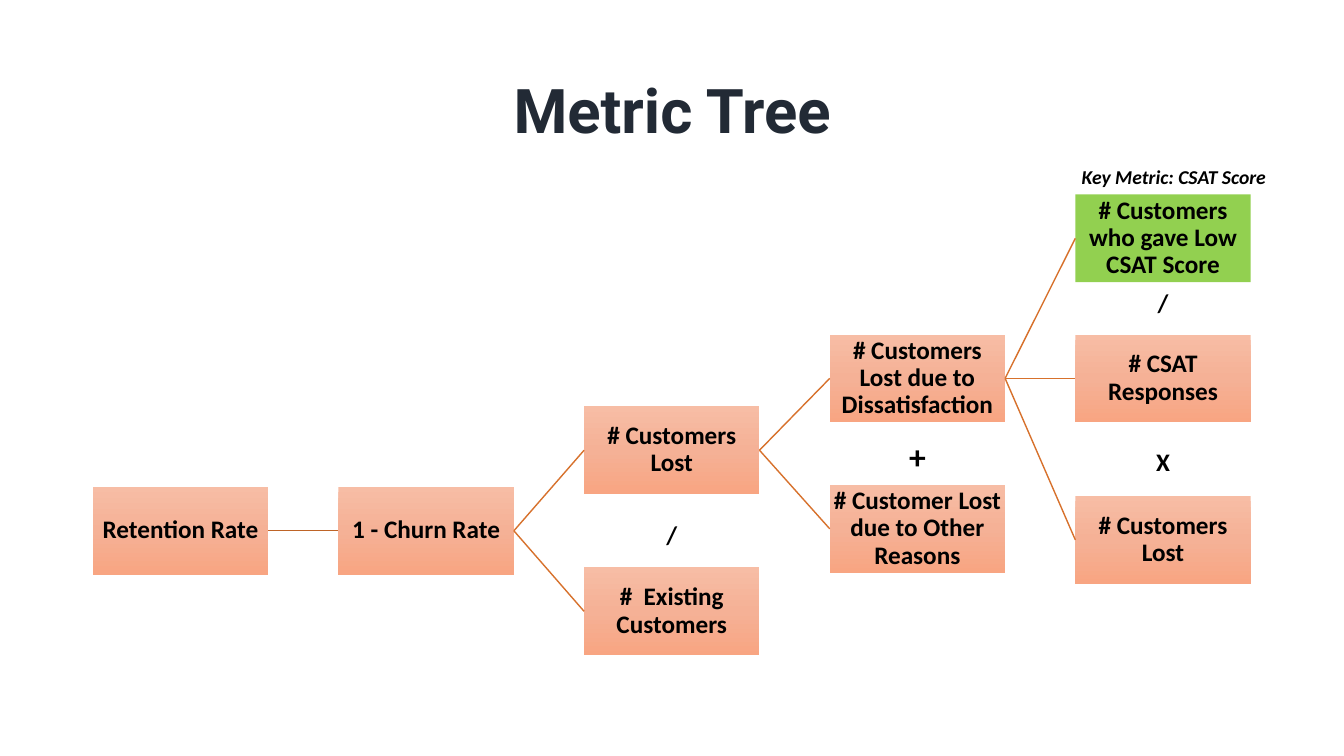
from copy import deepcopy

from pptx import Presentation, util as u
from pptx.dml.color import RGBColor
from pptx.enum import shapes, text
from pptx.oxml.ns import qn
from pptx.oxml.xmlchemy import OxmlElement

LEFT, COLUMN_STEP = 2.34, 6.19
NODE_W, NODE_H = 4.42, 2.21
RIGHT_SIDE, LEFT_SIDE = 3, 1


def rgb(hex_colour):
    return RGBColor.from_string(hex_colour)


class MetricTree:
    PEACH = ("F7BDA5", "F5B196", "F8A582")
    GREEN = "92D050"
    BRANCH = "D7712C"
    BLACK = "000000"

    def __init__(self, slide):
        self.shapes = slide.shapes

    def add_words(self, frame, words, size, font="Calibri", colour=BLACK, italic=False):
        """Put one centred bold run into a text frame."""
        paragraph = frame.paragraphs[0]
        paragraph.alignment = text.PP_ALIGN.CENTER
        run = paragraph.add_run()
        run.text = words
        run.font.size = u.Pt(size)
        run.font.name = font
        run.font.bold = True
        run.font.italic = italic
        run.font.color.rgb = rgb(colour)
        return paragraph

    def label(self, words, left, top, width, height, size, wrap=True, **style):
        box = self.shapes.add_textbox(u.Cm(left), u.Cm(top), u.Cm(width), u.Cm(height))
        frame = box.text_frame
        frame.word_wrap = wrap
        self.add_words(frame, words, size, **style)
        return frame

    def title(self, words):
        frame = self.label(words, 2.34, 1.02, 29.21, 3.68, 44, font="Roboto", colour="222A35")
        frame.vertical_anchor = text.MSO_ANCHOR.MIDDLE
        frame.paragraphs[0].line_spacing = 0.9

    def peach_gradient(self, node):
        node.fill.gradient()
        node.fill.gradient_angle = 270
        stops = node._element.spPr.find(".//" + qn("a:gsLst"))
        middle = deepcopy(stops[0])
        middle.set("pos", "50000")
        stops.insert(1, middle)
        for stop, colour in zip(node.fill.gradient_stops, self.PEACH):
            stop.color.rgb = rgb(colour)

    def node(self, words, column, top, key=False):
        node = self.shapes.add_shape(
            shapes.MSO_SHAPE.RECTANGLE, u.Cm(LEFT + column * COLUMN_STEP), u.Cm(top),
            u.Cm(NODE_W), u.Cm(NODE_H))
        node.shadow.inherit = False
        node.line.fill.background()
        if key:
            node.fill.solid()
            node.fill.fore_color.rgb = rgb(self.GREEN)
        else:
            self.peach_gradient(node)
        frame = node.text_frame
        frame.word_wrap = True
        frame.vertical_anchor = text.MSO_ANCHOR.MIDDLE
        frame.margin_left = frame.margin_right = u.Cm(0.03)
        frame.margin_top = frame.margin_bottom = u.Cm(0.03)
        self.add_words(frame, words, 18).line_spacing = 0.9
        return node

    def branch(self, parent, child, colour=BRANCH):
        line = self.shapes.add_connector(shapes.MSO_CONNECTOR.STRAIGHT, 0, 0, 0, 0)
        line.begin_connect(parent, RIGHT_SIDE)
        line.end_connect(child, LEFT_SIDE)
        line.line.color.rgb = rgb(colour)
        line.line.width = u.Pt(1)
        line._element.spPr.append(OxmlElement("a:effectLst"))

    def operator(self, sign, column, top, size=18):
        """Centre a sign under the nodes of a column."""
        self.label(sign, LEFT + column * COLUMN_STEP, top, NODE_W, 1.02, size)


def main():
    deck = Presentation()
    deck.slide_width, deck.slide_height = u.Cm(33.87), u.Cm(19.05)
    tree = MetricTree(deck.slides.add_slide(deck.slide_layouts[6]))
    tree.title("Metric Tree")

    retention = tree.node("Retention Rate", 0, 12.27)
    churn = tree.node("1 - Churn Rate", 1, 12.27)
    lost = tree.node("# Customers Lost", 2, 10.24)
    existing = tree.node("#  Existing Customers", 2, 14.3)
    dissatisfied = tree.node("# Customers Lost due to Dissatisfaction", 3, 8.43)
    other_reasons = tree.node("# Customer Lost due to Other Reasons", 3, 12.22)
    low_score = tree.node("# Customers who gave Low CSAT Score", 4, 4.9, key=True)
    responses = tree.node("# CSAT Responses", 4, 8.43)
    lost_again = tree.node("# Customers Lost", 4, 12.5)

    tree.branch(retention, churn, "BE6427")
    for parent, children in (
        (churn, (lost, existing)),
        (lost, (dissatisfied, other_reasons)),
        (dissatisfied, (low_score, responses, lost_again)),
    ):
        for child in children:
            tree.branch(parent, child)

    tree.operator("/", 2, 12.95)
    tree.operator("+", 3, 10.87, size=24)
    tree.operator("/", 4, 7.11)
    tree.operator("X", 4, 11.13)
    tree.label("Key Metric: CSAT Score", 26.97, 4.04, 5.23, 0.86, 14, wrap=False, italic=True)

    deck.save("out.pptx")


if __name__ == "__main__":
    main()
